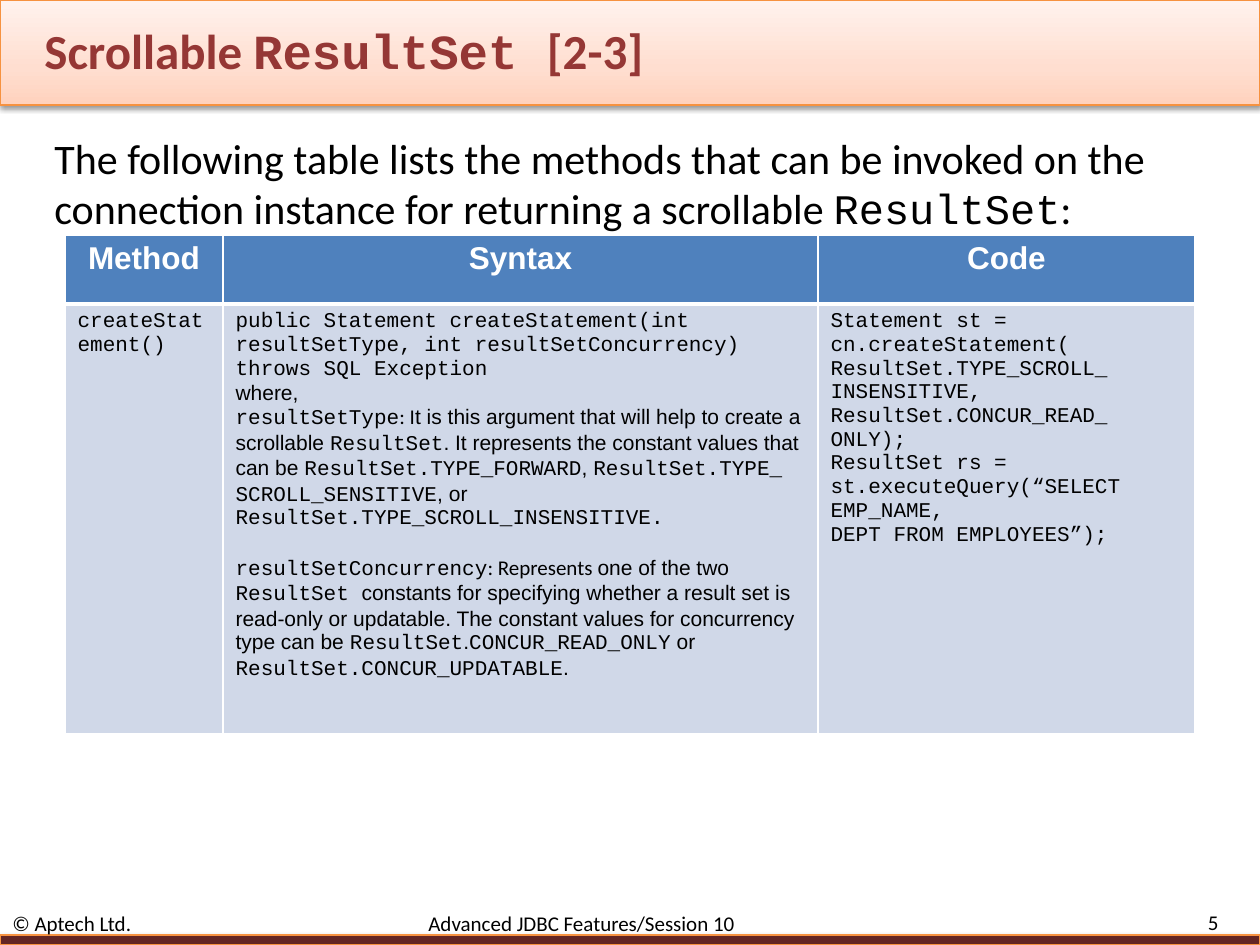
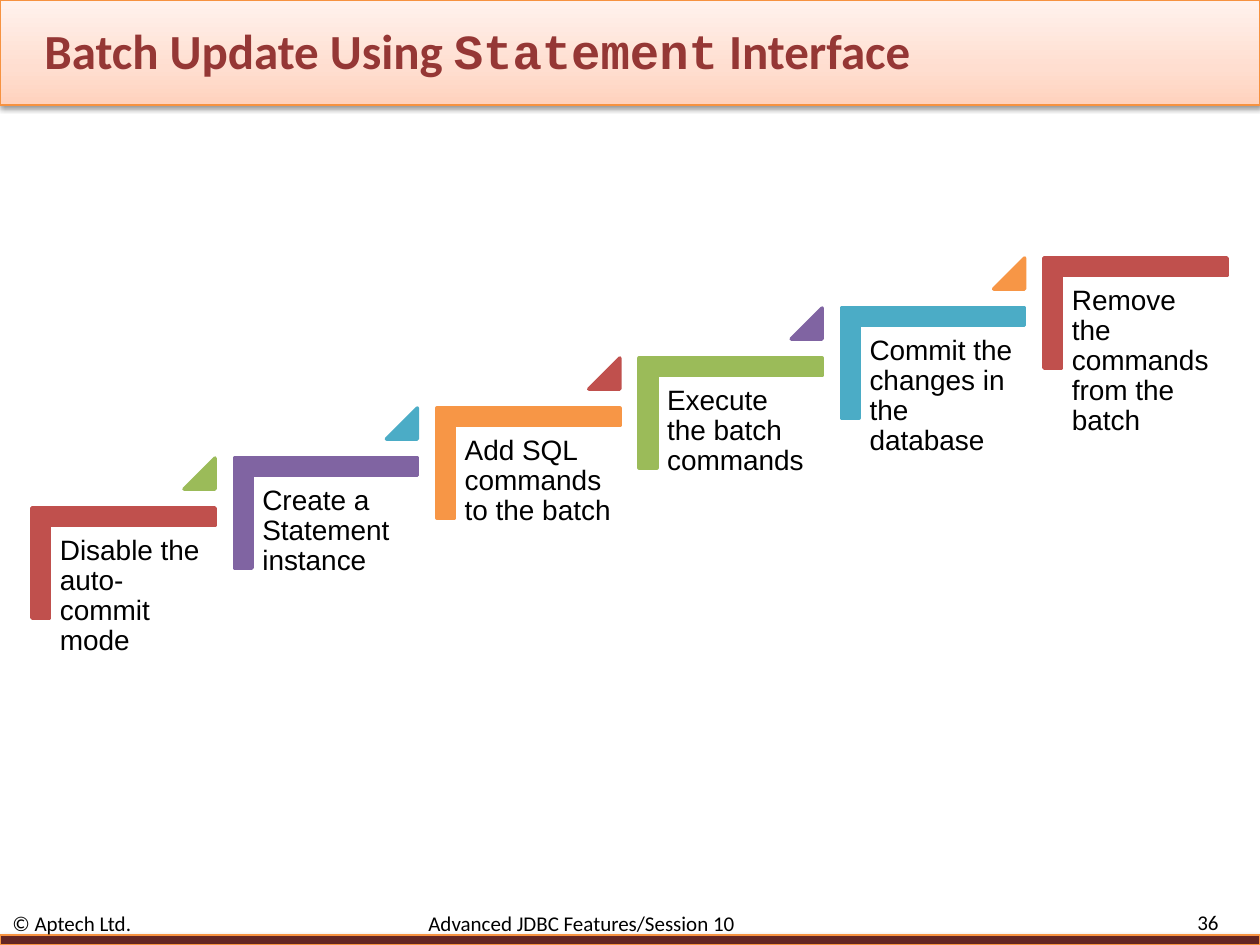
import copy

import pptx
import pptx.dml.color
import pptx.enum.shapes
import pptx.enum.text
import pptx.oxml.ns
import pptx.util
from lxml import etree

SLIDE_W, SLIDE_H = 1260, 945
EMU_PER_PX = 914400 / 126
HEADING, PLAIN, CODE = "Calibri", "Arial", "Courier New"
COLORS = {
    "title": "953735", "ink": "000000", "paper": "FFFFFF",
    "band_low": "FFD2BD", "band_mid": "FFDED0", "band_high": "FFF2ED",
    "band_edge": "F69240", "footer_band": "632523",
    "table_head": "4F81BD", "table_body": "D0D8E8",
    "red": "C0504D", "green": "9BBB59", "purple": "8064A2",
    "aqua": "4BACC6", "orange": "F79646",
}
STEP_COLORS = ["red", "green", "purple", "aqua", "orange"]
FOOTER = "© Aptech Ltd.\tAdvanced JDBC Features/Session 10"

METHOD_HEADS = ["Method", "Syntax", "Code"]
METHOD_CELLS = [
    ["`createStatement()`"],
    [
        "`public Statement createStatement(int resultSetType, int "
        "resultSetConcurrency) throws SQL Exception`",
        "where,",
        "`resultSetType`~: I~t is this argument that will help to create a "
        "scrollable `ResultSet`. It represents the constant values that can be "
        "`ResultSet.TYPE_FORWARD`, `ResultSet.TYPE_ SCROLL_SENSITIVE`, or "
        "`ResultSet.TYPE_SCROLL_INSENSITIVE.`",
        "`resultSetConcurrency`~: Represents ~one of the two `ResultSet `"
        "constants for specifying whether a result set is read-only or "
        "updatable. The constant values for concurrency type can be "
        "`ResultSet`.`CONCUR_READ_ONLY` or `ResultSet.CONCUR_UPDATABLE`.",
    ],
    [
        "`Statement st = cn.createStatement(`",
        "`ResultSet.TYPE_SCROLL_ INSENSITIVE,`",
        "`ResultSet.CONCUR_READ_ ONLY);`",
        "`ResultSet rs = st.executeQuery(“SELECT EMP_NAME,`",
        "`DEPT FROM EMPLOYEES”);`",
    ],
]
BATCH_STEPS = [
    "Disable the auto-commit mode",
    "Create a Statement instance",
    "Add SQL commands to the batch",
    "Execute the batch commands",
    "Commit the changes in the database",
    "Remove the commands from the batch",
]


def px(*lengths):
    return [pptx.util.Emu(round(n * EMU_PER_PX)) for n in lengths]


def rgb(name):
    return pptx.dml.color.RGBColor.from_string(COLORS[name])


def sub(parent, tag, **attributes):
    return etree.SubElement(parent, pptx.oxml.ns.qn(tag), attributes)


def write(paragraph, marked, size, font=PLAIN, color="ink", bold=False):
    """Add runs: `...` is set in the code font, ~...~ in the heading font."""
    for i, chunk in enumerate(marked.split("`")):
        for j, words in enumerate(chunk.split("~")):
            if words:
                run = paragraph.add_run()
                run.text = words
                run.font.name = CODE if i % 2 else HEADING if j % 2 else font
                run.font.size = pptx.util.Pt(size)
                run.font.bold = bold
                run.font.color.rgb = rgb(color)


def add_text(slide, box, marked, size, font=HEADING, anchor="TOP",
             align="LEFT", inset=None, **style):
    frame = slide.shapes.add_textbox(*px(*box)).text_frame
    frame.word_wrap = True
    frame.vertical_anchor = getattr(pptx.enum.text.MSO_ANCHOR, anchor)
    if inset is not None:
        margin, = px(inset)
        frame.margin_left = frame.margin_right = margin
        frame.margin_top = frame.margin_bottom = margin
    paragraph = frame.paragraphs[0]
    paragraph.alignment = getattr(pptx.enum.text.PP_ALIGN, align)
    write(paragraph, marked, size, font, **style)
    return paragraph


def add_solid(slide, preset, box, color, edge, edge_pt):
    kind = getattr(pptx.enum.shapes.MSO_SHAPE, preset)
    shape = slide.shapes.add_shape(kind, *px(*box))
    shape.shadow.inherit = False
    shape.fill.solid()
    shape.fill.fore_color.rgb = rgb(color)
    shape.line.color.rgb = rgb(edge)
    shape.line.width = pptx.util.Pt(edge_pt)
    return shape


def add_band(slide, box, color):
    """Add a full-width bar with a soft shadow below it."""
    band = add_solid(slide, "RECTANGLE", box, color, "band_edge", 0.75)
    effects = band._element.spPr.find(pptx.oxml.ns.qn("a:effectLst"))
    shadow = sub(effects, "a:outerShdw", blurRad="40000", dist="20000",
                 dir="5400000", rotWithShape="0")
    sub(sub(shadow, "a:srgbClr", val=COLORS["ink"]), "a:alpha", val="38000")
    return band


def shade_title_band(band):
    band.fill.gradient()
    band.fill.gradient_angle = 90
    stops = next(band._element.spPr.iter(pptx.oxml.ns.qn("a:gsLst")))
    stops.insert(1, copy.deepcopy(stops[0]))
    shades = [(0, "band_low"), (0.35, "band_mid"), (1, "band_high")]
    for stop, (position, color) in zip(band.fill.gradient_stops, shades):
        stop.position = position
        stop.color.rgb = rgb(color)


def add_frame(deck, title, number):
    """Add a slide with the title band and the footer."""
    slide = deck.slides.add_slide(deck.slide_layouts[6])
    shade_title_band(add_band(slide, (0, 0, SLIDE_W, 105), "band_low"))
    add_band(slide, (0, SLIDE_H - 10, SLIDE_W, 10), "footer_band")
    add_text(slide, (32, 21, 1050, 57), title, 28, anchor="MIDDLE",
             color="title", bold=True)
    credit = add_text(slide, (0, 913, 1113, 21), FOOTER, 12, anchor="MIDDLE")
    tabs = sub(credit._p.get_or_add_pPr(), "a:tabLst")
    sub(tabs, "a:tab", pos=str(px(416)[0]), algn="l")
    add_text(slide, (1124, 911, 107, 23), str(number), 12, anchor="MIDDLE",
             align="RIGHT")
    return slide


def style_cell(cell, color, bottom_pt):
    properties = cell._tc.get_or_add_tcPr()
    for side, points in zip("LRTB", (1, 1, 1, bottom_pt)):
        line = sub(properties, f"a:ln{side}", w=str(pptx.util.Pt(points)))
        sub(sub(line, "a:solidFill"), "a:srgbClr", val=COLORS["paper"])
    cell.fill.solid()
    cell.fill.fore_color.rgb = rgb(color)


def add_method_table(slide, box):
    left, top, width, height = box
    widths, head_height = (158, 595, width - 753), 69
    table = slide.shapes.add_table(2, 3, *px(*box)).table
    for row, row_height in zip(table.rows, (head_height, height - head_height)):
        row.height, = px(row_height)
    for i, (head, lines) in enumerate(zip(METHOD_HEADS, METHOD_CELLS)):
        table.columns[i].width, = px(widths[i])
        head_cell, body_cell = table.cell(0, i), table.cell(1, i)
        style_cell(head_cell, "table_head", 3)
        style_cell(body_cell, "table_body", 1)
        heading = head_cell.text_frame.paragraphs[0]
        heading.alignment = pptx.enum.text.PP_ALIGN.CENTER
        write(heading, head, 18, color="paper", bold=True)
        body = body_cell.text_frame
        for n, line in enumerate(lines):
            paragraph = body.add_paragraph() if n else body.paragraphs[0]
            if line.startswith("`resultSetConcurrency`"):
                paragraph.space_before = pptx.util.Pt(14)
            write(paragraph, line, 12)


def add_step(slide, box, label, color):
    left, top, width, height = box
    shift = (width - height) / 2
    corner = add_solid(slide, "CORNER",
                       (left + shift, top - shift, height, width),
                       color, color, 2)
    corner.rotation = 90
    corner.adjustments[0] = corner.adjustments[1] = 0.16
    words = add_text(slide, (left + 19, top + 19, width - 18, 145), label, 16,
                     font=PLAIN, inset=9)
    words.line_spacing = 0.9


def add_staircase(slide, box, labels):
    """Climb from the lower left of the box to its upper right."""
    left, top, width, height = box
    step_w, step_h, marker = 183, 110, 31
    last = len(labels) - 1
    pitch, rise = (width - step_w) / last, (height - step_h) / last
    for i, label in enumerate(labels):
        x, y = left + i * pitch, top + (last - i) * rise
        color, marker_color = (STEP_COLORS[(2 * i + k) % len(STEP_COLORS)]
                               for k in range(2))
        add_step(slide, (x, y, step_w, step_h), label, color)
        if i < last:
            triangle = add_solid(
                slide, "ISOSCELES_TRIANGLE",
                (x + step_w - marker, y - rise, marker, marker),
                marker_color, marker_color, 2)
            triangle.adjustments[0] = 1


def main():
    deck = pptx.Presentation()
    deck.slide_width, deck.slide_height = px(SLIDE_W, SLIDE_H)

    scrollable = add_frame(deck, "Scrollable `ResultSet `[2-3]", 5)
    add_text(scrollable, (42, 126, 1187, 110),
             "The following table lists the methods that can be invoked on the "
             "connection instance for returning a scrollable `ResultSet`:", 24)
    add_method_table(scrollable, (65, 235, 1130, 499))

    batch = add_frame(deck, "Batch Update Using `Statement` Interface", 36)
    add_staircase(batch, (32, 258, 1195, 360), BATCH_STEPS)

    deck.save("out.pptx")


if __name__ == "__main__":
    main()
